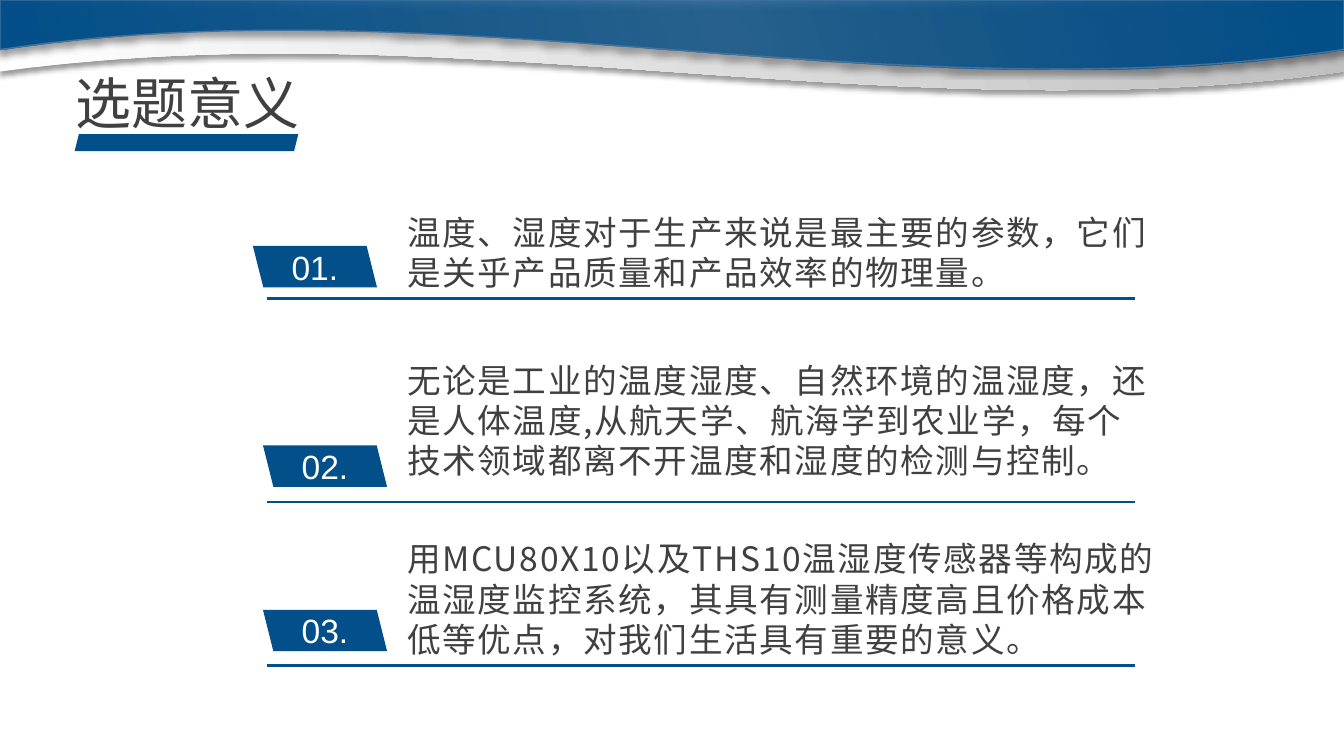
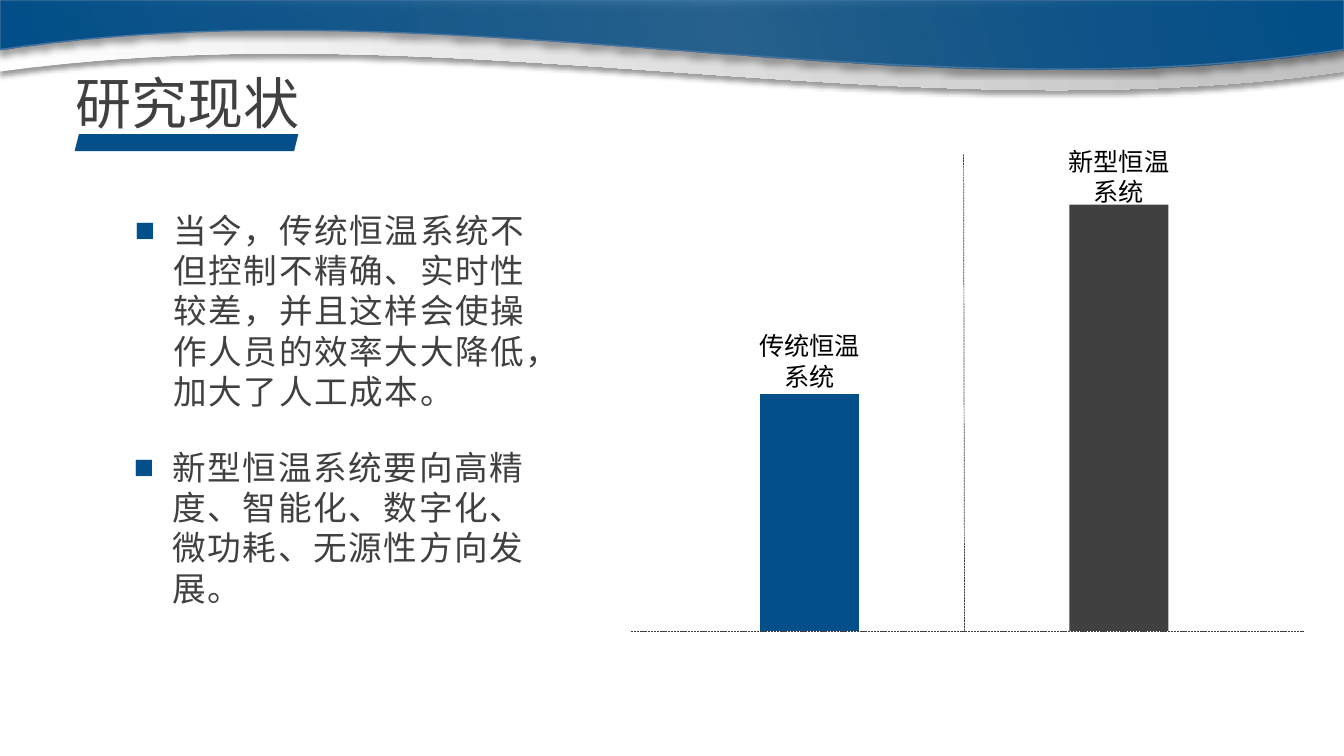
"""Build two slides on the purpose and state of temperature and humidity control."""
import pptx
import pptx.dml.color
import pptx.enum.dml
import pptx.enum.shapes
import pptx.enum.text
import pptx.oxml
import pptx.oxml.ns
import pptx.util

Pt = pptx.util.Pt
RGBColor = pptx.dml.color.RGBColor
Shape = pptx.enum.shapes.MSO_SHAPE
Align = pptx.enum.text.PP_ALIGN

BLUE = RGBColor(0x03, 0x4F, 0x89)
EDGE = RGBColor(0x43, 0x73, 0x9E)
DARK = RGBColor(0x40, 0x40, 0x40)
SILVER = RGBColor(0xBF, 0xBF, 0xBF)
WHITE = RGBColor(0xFF, 0xFF, 0xFF)
BLACK = RGBColor(0, 0, 0)

HAN = "Noto Sans CJK SC"
LATIN = "Arial"
WIDTH, HEIGHT = 960, 540
CURVE_STEPS = 60
BASELINE = 450.7
BAR_WIDTH = 70.6
LABEL_WIDTH = 90

REASONS = [
    (180.7, 175.7, 213.1, 147.6, 65.5,
     "温度、湿度对于生产来说是最主要的参数，它们是关乎产品质量和产品效率的物理量。"),
    (187.9, 318.2, 358.6, 253.4, 94.3,
     "无论是工业的温度湿度、自然环境的温湿度，还是人体温度,从航天学、航海学到农业学，"
     "每个技术领域都离不开温度和湿度的检测与控制。"),
    (187.9, 435.6, 475.2, 380.9, 94.3,
     "用MCU80X10以及THS10温湿度传感器等构成的温湿度监控系统，其具有测量精度高且价格成"
     "本低等优点，对我们生活具有重要的意义。"),
]
FINDINGS = [
    (89.3, 146.2, 315.4, 152.6,
     "当今，传统恒温系统不但控制不精确、实时性较差，并且这样会使操作人员的效率大大降低，"
     "加大了人工成本。"),
    (88.6, 315.4, 304.6, 123.8,
     "新型恒温系统要向高精度、智能化、数字化、微功耗、无源性方向发展。"),
]
SYSTEMS = [
    (542.9, 281.5, 232.6, BLUE, "传统恒温系统"),
    (763.9, 146.2, 100.8, DARK, "新型恒温系统"),
]


def drawing_xml(tag, attributes="", content=""):
    """Return one DrawingML element."""
    namespace = pptx.oxml.ns.nsdecls("a")
    return pptx.oxml.parse_xml(f"<a:{tag} {namespace} {attributes}>{content}</a:{tag}>")


def add_span(para, text, size, color, font=HAN, spacing=0):
    """Add one formatted run to a paragraph."""
    span = para.add_run()
    span.text = text
    span.font.size = Pt(size)
    span.font.name = font
    span.font.color.rgb = color
    properties = span.font._element
    properties.find(pptx.oxml.ns.qn("a:latin")).addnext(
        drawing_xml("ea", f'typeface="{font}"'))
    if spacing:
        properties.set("spc", str(round(spacing * 100)))


def add_bullet(para, indent):
    """Give a paragraph a blue square bullet with a hanging indent."""
    properties = para._p.get_or_add_pPr()
    properties.set("marL", str(Pt(indent)))
    properties.set("indent", str(-Pt(indent)))
    properties.append(drawing_xml("buClr", content=f'<a:srgbClr val="{BLUE}"/>'))
    properties.append(drawing_xml("buFont", f'typeface="{LATIN}"'))
    properties.append(drawing_xml("buChar", 'char="■"'))


def add_text(page, left, top, width, height, text, size=24, color=DARK,
             align=Align.LEFT, spacing=0, bulleted=False):
    """Add a wrapping text box with one paragraph."""
    box = page.shapes.add_textbox(Pt(left), Pt(top), Pt(width), Pt(height))
    box.text_frame.word_wrap = True
    box.text_frame.auto_size = pptx.enum.text.MSO_AUTO_SIZE.SHAPE_TO_FIT_TEXT
    para = box.text_frame.paragraphs[0]
    para.alignment = align
    if bulleted:
        add_bullet(para, 27.4)
    add_span(para, text, size, color, spacing=spacing)


def add_block(page, kind, left, top, width, height, color):
    """Add a plain filled shape."""
    block = page.shapes.add_shape(kind, Pt(left), Pt(top), Pt(width), Pt(height))
    block.shadow.inherit = False
    block.fill.solid()
    block.fill.fore_color.rgb = color
    block.line.fill.background()
    return block


def add_tag(page, left, top, text):
    """Add a slanted number tag."""
    tag = add_block(page, Shape.PARALLELOGRAM, left, top, 88.6, 29.5, BLUE)
    tag.element.spPr.get_or_add_xfrm().set("flipH", "1")
    frame = tag.text_frame
    frame.margin_left = frame.margin_right = frame.margin_top = frame.margin_bottom = 0
    frame.vertical_anchor = pptx.enum.text.MSO_ANCHOR.MIDDLE
    para = frame.paragraphs[0]
    para.alignment = Align.CENTER
    add_span(para, text, 24, WHITE, LATIN)


def add_line(page, start, end, color, weight, dash=None):
    """Add a straight line between two points."""
    line = page.shapes.add_connector(
        pptx.enum.shapes.MSO_CONNECTOR.STRAIGHT, *map(Pt, (*start, *end)))
    line.line.color.rgb = color
    line.line.width = Pt(weight)
    if dash:
        line.line.dash_style = dash
    line.element.spPr.append(drawing_xml("effectLst"))


def curve_point(controls, t):
    """Return the point at t on a cubic Bezier curve."""
    weights = ((1 - t) ** 3, 3 * t * (1 - t) ** 2, 3 * t ** 2 * (1 - t), t ** 3)
    return tuple(Pt(sum(weight * point[axis] for weight, point in zip(weights, controls)))
                 for axis in (0, 1))


def add_wave(page, heights, stops, edge=None):
    """Add a shadowed gradient band whose lower edge is a wave."""
    controls = list(zip((WIDTH, 641.5, 324, 5.8), heights))
    wave_points = [curve_point(controls, step / CURVE_STEPS)
                   for step in range(CURVE_STEPS + 1)]
    builder = page.shapes.build_freeform(0, 0)
    builder.add_line_segments(
        [(Pt(WIDTH), 0), *wave_points, (0, Pt(heights[0]))], close=True)
    wave = builder.convert_to_shape()
    if edge:
        wave.line.color.rgb = edge
        wave.line.width = Pt(1)
    else:
        wave.line.fill.background()
    wave.shadow.inherit = False
    gradient = "".join(
        f'<a:gs pos="{place * 1000}"><a:srgbClr val="{color}">'
        f'<a:alpha val="{opacity * 1000}"/></a:srgbClr></a:gs>'
        for place, color, opacity in stops)
    properties = wave.element.spPr
    properties.find(pptx.oxml.ns.qn("a:custGeom")).addnext(drawing_xml(
        "gradFill", 'rotWithShape="1"',
        f'<a:gsLst>{gradient}</a:gsLst><a:lin ang="{342 * 60000}" scaled="0"/>'))
    properties.find(pptx.oxml.ns.qn("a:effectLst")).append(drawing_xml(
        "outerShdw",
        f'blurRad="{Pt(4)}" dist="{Pt(3)}" dir="{90 * 60000}" algn="t" rotWithShape="0"',
        f'<a:srgbClr val="{BLACK}"><a:alpha val="40000"/></a:srgbClr>'))


def add_page(deck, title):
    """Add a blank page with the wave bands and an underlined title."""
    page = deck.slides.add_slide(deck.slide_layouts[6])
    add_wave(page, (51.1, 96.5, 7.2, 50.4), [(0, WHITE, 100), (100, SILVER, 100)])
    add_wave(page, (35.3, 83.5, -11.5, 34.6),
             [(0, BLUE, 100), (54, BLUE, 75), (100, BLUE, 100)], EDGE)
    add_text(page, 46.8, 45.4, 175, 55.4, title, 40, align=Align.JUSTIFY)
    add_block(page, Shape.PARALLELOGRAM, 53.3, 95.8, 159.8, 12.2, BLUE)
    return page


def build_reasons(deck):
    """Build the page of numbered reasons."""
    page = add_page(deck, "选题意义")
    for number, reason in enumerate(REASONS, 1):
        tag_left, tag_top, rule_top, text_top, text_height, text = reason
        add_tag(page, tag_left, tag_top, f"{number:02}.")
        add_line(page, (190.8, rule_top), (810.7, rule_top), BLUE, 1.75)
        add_text(page, 283.7, text_top, 550.8, text_height, text, spacing=1.2)


def build_status(deck):
    """Build the page comparing old and new systems."""
    page = add_page(deck, "研究现状")
    for left, top, width, height, text in FINDINGS:
        add_text(page, left, top, width, height, text, spacing=1.2, bulleted=True)
    for left, top, label_top, color, label in SYSTEMS:
        add_block(page, Shape.RECTANGLE, left, top, BAR_WIDTH, BASELINE - top, color)
        add_text(page, left + (BAR_WIDTH - LABEL_WIDTH) / 2, label_top, LABEL_WIDTH, 51,
                 label, 18, BLACK, Align.CENTER)
    dash = pptx.enum.dml.MSO_LINE.SQUARE_DOT
    add_line(page, (688.3, 110.2), (689, BASELINE), DARK, 0.5, dash)
    add_line(page, (450.7, BASELINE), (931.7, BASELINE), DARK, 0.5, dash)


def main():
    """Build and save the deck."""
    deck = pptx.Presentation()
    deck.slide_width, deck.slide_height = Pt(WIDTH), Pt(HEIGHT)
    build_reasons(deck)
    build_status(deck)
    deck.save("out.pptx")


if __name__ == "__main__":
    main()
